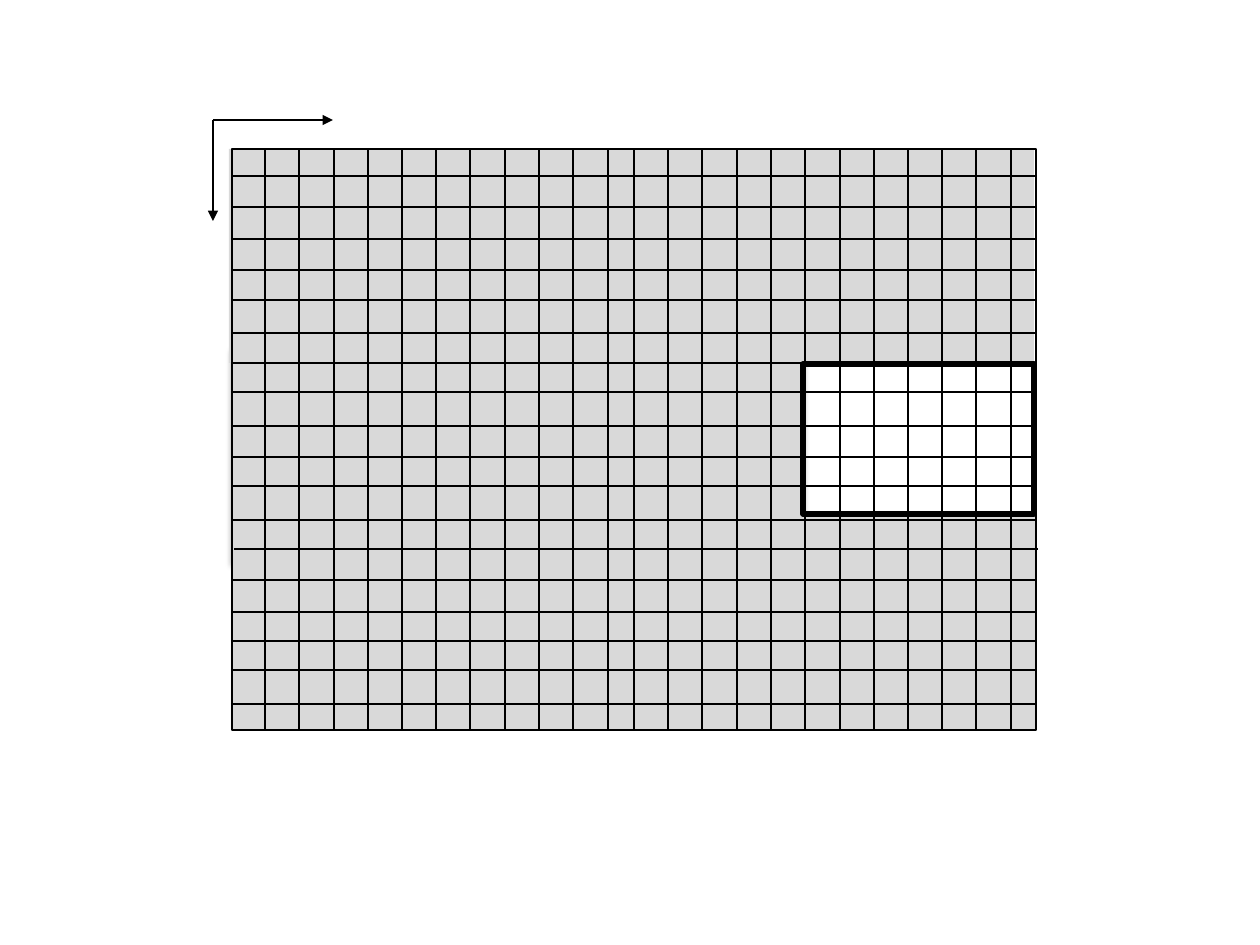
import pptx
import pptx.dml.color
import pptx.enum.shapes
import pptx.oxml
import pptx.oxml.ns
import pptx.util
import lxml.etree

PX = 914400 / 126
BLACK = "000000"
GREY = "D9D9D9"


def px(length):
    return pptx.util.Emu(round(length * PX))


def colour(value):
    return pptx.dml.color.RGBColor.from_string(value)


class Sketch:
    """Holds the line style and the current page, and draws on it."""

    def __init__(self, page, thin=1):
        self.page = page
        self.thin = thin

    def group(self):
        return self.page.shapes.add_group_shape().shapes

    def rectangle(self, left, top, width, height, fill=None, line=None, shapes=None):
        if shapes is None:
            shapes = self.page.shapes
        box = shapes.add_shape(
            pptx.enum.shapes.MSO_SHAPE.RECTANGLE, px(left), px(top), px(width), px(height)
        )
        box.shadow.inherit = False
        if fill:
            box.fill.solid()
            box.fill.fore_color.rgb = colour(fill)
        else:
            box.fill.background()
        if line:
            box.line.color.rgb = colour(BLACK)
            box.line.width = pptx.util.Pt(line)
        else:
            box.line.fill.background()
        return box

    def soft_shadow(self, box):
        effects = box._element.spPr.find(pptx.oxml.ns.qn("a:effectLst"))
        effects.append(pptx.oxml.parse_xml(
            f'<a:outerShdw {pptx.oxml.ns.nsdecls("a")} blurRad="39370" dist="22860"'
            ' dir="5400000" rotWithShape="0"><a:srgbClr val="000000">'
            '<a:alpha val="35000"/></a:srgbClr></a:outerShdw>'
        ))

    def line(self, start, end, shapes=None, arrow=False):
        if shapes is None:
            shapes = self.page.shapes
        rule = shapes.add_connector(
            pptx.enum.shapes.MSO_CONNECTOR.STRAIGHT, *map(px, start + end)
        )
        rule.line.color.rgb = colour(BLACK)
        rule.line.width = pptx.util.Pt(self.thin)
        qn = pptx.oxml.ns.qn
        if arrow:
            outline = rule.line._get_or_add_ln()
            lxml.etree.SubElement(outline, qn("a:tailEnd"), type="triangle")
        lxml.etree.SubElement(rule._element.spPr, qn("a:effectLst"))
        return rule


def draw_background(sketch):
    sketch.soft_shadow(sketch.rectangle(231, 348, 573, 214, fill=GREY))
    sketch.rectangle(231, 515, 805, 214, fill=GREY)
    sketch.rectangle(229, 149, 805, 214, fill=GREY)


def draw_grid(sketch):
    left, top, width, height = 232, 149, 804, 581
    middle, pitch = left + width // 2, 34.25
    grid = sketch.group()
    frame = sketch.rectangle(left, top, width, height, line=1, shapes=grid)

    left_columns = [round(265 + pitch * i) for i in range(11)]
    right_columns = [round(middle + pitch * i) for i in range(12)]
    for x in left_columns + right_columns:
        column = sketch.line((x, top), (x, top + height), grid)
        if x == middle:
            column.begin_connect(frame, 0)
            column.end_connect(frame, 2)

    rows_by_left = {
        231: (207, 239, 363, 392, 426, 641, 670, 704),
        232: (176, 270, 300, 333, 457, 486, 520),
        233: (580, 612),
        234: (549,),
    }
    for x, rows in rows_by_left.items():
        for y in rows:
            sketch.line((x, y), (x + width, y), grid)


def draw_axes(sketch):
    origin = (213, 120)
    for tip in ((333, 120), (213, 221)):
        sketch.line(origin, tip, arrow=True)


def main():
    deck = pptx.Presentation()
    deck.slide_width = pptx.util.Inches(10)
    deck.slide_height = pptx.util.Inches(7.5)
    sketch = Sketch(deck.slides.add_slide(deck.slide_layouts[6]))
    draw_background(sketch)
    draw_grid(sketch)
    draw_axes(sketch)
    sketch.rectangle(803, 364, 231, 150, line=3)
    deck.save("out.pptx")


if __name__ == "__main__":
    main()
